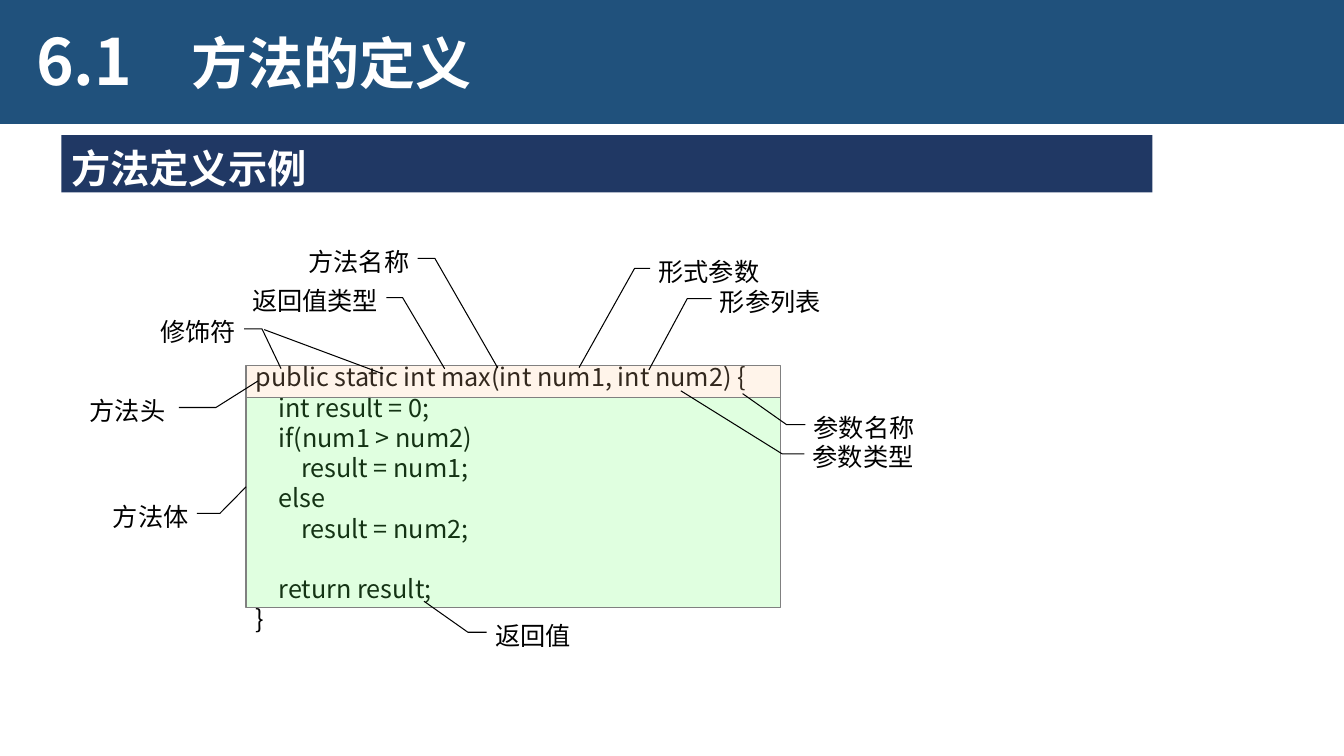
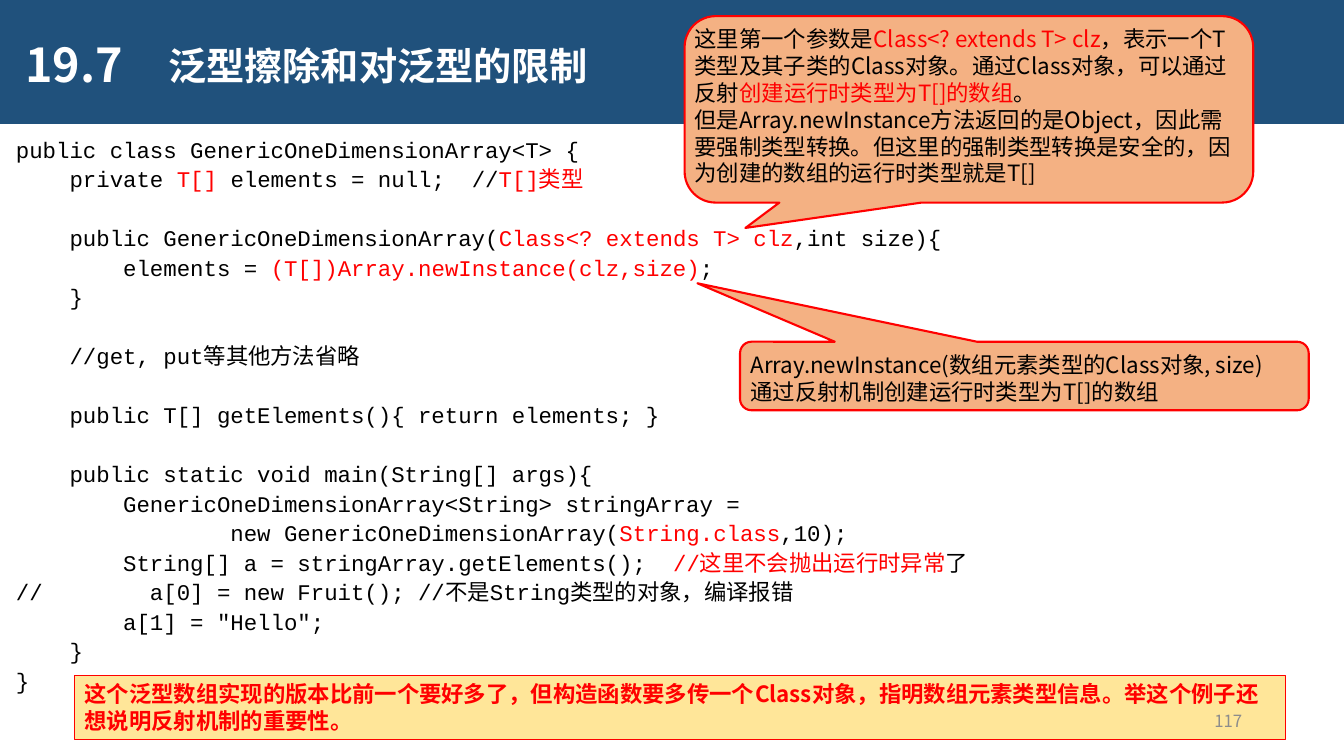
"""Build two slides on Java methods and generic arrays."""
from lxml.etree import SubElement
from pptx import Presentation
from pptx.dml.color import RGBColor
from pptx.enum.shapes import MSO_CONNECTOR, MSO_SHAPE
from pptx.enum.text import MSO_ANCHOR, MSO_AUTO_SIZE, PP_ALIGN
from pptx.oxml.ns import qn
from pptx.util import Inches, Pt

BLACK = RGBColor(0, 0, 0)
WHITE = RGBColor(0xFF, 0xFF, 0xFF)
RED = RGBColor(0xFF, 0, 0)
GRAY = RGBColor(0x80, 0x80, 0x80)
PALE = RGBColor(0x8C, 0x8C, 0x8C)
BLUE = RGBColor(0x20, 0x51, 0x7C)
NAVY = RGBColor(0x20, 0x38, 0x64)
PEACH = RGBColor(0xFF, 0xCC, 0x99)
GREEN = RGBColor(0x66, 0xFF, 0x66)
ORANGE = RGBColor(0xF4, 0xB1, 0x83)
YELLOW = RGBColor(0xFF, 0xE6, 0x99)
SANS = "Noto Sans CJK SC"
NOTE = "Noto Sans CJK JP"
MONO = "Courier New"


def write(shape, lines, size=18, color=BLACK, bold=False, font=SANS, lead=1.2,
          align=PP_ALIGN.LEFT, anchor=MSO_ANCHOR.TOP, wrap=True,
          pad=(0.1, 0.05, 0.1, 0.05)):
    """Fill a shape with lines; every second run of a tuple is red."""
    frame = shape.text_frame
    frame.auto_size = MSO_AUTO_SIZE.NONE
    frame.word_wrap = wrap
    frame.vertical_anchor = anchor
    (frame.margin_left, frame.margin_top,
     frame.margin_right, frame.margin_bottom) = map(Inches, pad)
    for row, line in enumerate(lines):
        para = frame.add_paragraph() if row else frame.paragraphs[0]
        para.alignment = align
        para.line_spacing = Pt(round(size * lead, 1))
        para.space_before = Pt(0)
        para.font.size = Pt(size)
        parts = (line,) if isinstance(line, str) else line
        for turn, part in enumerate(parts):
            if not part:
                continue
            run = para.add_run()
            run.text = part
            run.font.size = Pt(size)
            run.font.bold = bold
            run.font.color.rgb = RED if turn % 2 else color
            run.font.name = font
            east = SubElement(run.font._element, qn("a:ea"))
            east.set("typeface", SANS if font == MONO else font)


def draw(slide, kind, spot, fill=None, line=None, width=0.75, alpha=None):
    """Add a preset shape with its fill and line."""
    shape = slide.shapes.add_shape(kind, *map(Inches, spot))
    shape.shadow.inherit = False
    if fill is None:
        shape.fill.background()
    else:
        shape.fill.solid()
        shape.fill.fore_color.rgb = fill
        if alpha:
            tint = shape.fill._xPr.find(qn("a:solidFill"))[0]
            SubElement(tint, qn("a:alpha")).set("val", str(alpha * 1000))
    if line is None:
        shape.line.fill.background()
    else:
        shape.line.color.rgb = line
        shape.line.width = Pt(width)
    return shape


deck = Presentation()
deck.slide_width = Inches(13.33)
deck.slide_height = Inches(7.5)
plan = deck.slide_layouts[5]

HEADS = [
    ("6.1", (0.26, 0.19, 1.37, 0.91), 45.6, 1.16,
     "方法的定义", (1.8, 0.25, 8.09, 0.54), 40),
    ("19.7", (0.15, 0.38, 1.17, 0.54), 33.3, 1.05,
     "泛型擦除和对泛型的限制", (1.57, 0.38, 8.09, 0.54), 27.3),
]
slides = []
for mark, place, big, lead, name, spot, size in HEADS:
    slide = deck.slides.add_slide(plan)
    title = slide.shapes.title
    title.left, title.top, title.width, title.height = map(Inches, spot)
    write(title, [name], size=size, color=WHITE, bold=True, lead=1.16)
    box = slide.shapes.add_textbox(*map(Inches, place))
    write(box, [mark], size=big, color=WHITE, bold=True, lead=lead)
    slides.append(slide)
first, second = slides

band = draw(first, MSO_SHAPE.RECTANGLE, (0, 0, 13.33, 1.23), BLUE)
plan.shapes._spTree.insert(2, band._element)

head = draw(first, MSO_SHAPE.RECTANGLE, (0.61, 1.34, 10.82, 0.57), NAVY)
write(head, ["方法定义示例"], size=28, color=WHITE, bold=True, lead=1.3)

code = first.shapes.add_textbox(*map(Inches, (2.44, 3.54, 5.58, 2.8)))
write(code, [
    "public static int max(int num1, int num2) {",
    "    int result = 0;",
    "    if(num1 > num2)",
    "        result = num1;",
    "    else",
    "        result = num2;",
    "",
    "    return result;",
    "}",
], wrap=False)
for top, high, fill in [(3.63, 0.31, PEACH), (3.94, 2.09, GREEN)]:
    draw(first, MSO_SHAPE.RECTANGLE, (2.44, top, 5.3, high), fill, GRAY,
         alpha=20)

link = first.shapes.add_connector(
    MSO_CONNECTOR.STRAIGHT, *map(Inches, (2.62, 3.27, 3.8, 3.71)))
link.line.color.rgb = BLACK
link.line.width = Pt(0.75)
SubElement(link._element.spPr, qn("a:effectLst"))

LABELS = [
    ("方法头", 0.03, 3.92, 1.61, 1.083, 1.312, -0.519, 1.571),
    ("方法体", 0.87, 4.97, 1, 1.083, 1.312, -0.519, 1.571),
    ("修饰符", 1.34, 3.14, 1, 1.083, 1.259, 1.918, 1.448),
    ("返回值类型", 2.13, 2.83, 1.62, 1.051, 1.15, 3.07, 1.408),
    ("方法名称", 2.44, 2.44, 1.62, 1.051, 1.156, 4.481, 1.541),
    ("形式参数", 6.53, 2.54, 1.62, -0.051, -0.146, 4.101, -0.486),
    ("形参列表", 7.14, 2.84, 1.62, -0.051, -0.2, 3.076, -0.435),
    ("参数类型", 8.06, 4.38, 1.62, -0.051, -0.187, -1.861, -0.807),
    ("参数名称", 8.07, 4.09, 1.62, -0.051, -0.166, -0.684, -0.435),
    ("返回值", 4.91, 6.15, 1.62, -0.051, -0.166, -0.684, -0.435),
]
for text, left, top, wide, start, bend, drop, end in LABELS:
    label = draw(first, MSO_SHAPE.LINE_CALLOUT_2_NO_BORDER,
                 (left, top, wide, 0.27), line=BLACK)
    for spot, value in enumerate((0.456, start, 0.456, bend, drop, end)):
        label.adjustments[spot] = value
    write(label, [text], pad=(0, 0, 0, 0),
          align=PP_ALIGN.RIGHT if start > 0 else PP_ALIGN.LEFT)

code = second.shapes.add_textbox(*map(Inches, (0.06, 1.27, 12.91, 5.72)))
write(code, [
    "public class GenericOneDimensionArray<T> {",
    ("    private ", "T[] ", "elements = null;  //", "T[]类型"),
    "",
    ("    public GenericOneDimensionArray(", "Class<? extends T> clz",
     ",int size){"),
    ("        elements = ", "(T[])Array.newInstance(clz,size)", ";"),
    "    }",
    "",
    "    //get, put等其他方法省略",
    "",
    "    public T[] getElements(){ return elements; }",
    "",
    "    public static void main(String[] args){",
    "        GenericOneDimensionArray<String> stringArray =",
    ("                new GenericOneDimensionArray(", "String.class",
     ",10);"),
    ("        String[] a = stringArray.getElements();  ",
     "//这里不会抛出运行时异常", "了"),
    "//        a[0] = new Fruit(); //不是String类型的对象，编译报错",
    "        a[1] = \"Hello\";",
    "    }",
    "}",
], size=16, font=MONO, lead=1.32)

NOTES = [
    ((6.79, 0.16, 5.64, 1.85), (-0.393, 0.636), (0.01, 0, 0.09, 0), [
        ("这里第一个参数是", "Class<? extends T> clz",
         "，表示一个T类型及其子类的Class对象。通过Class对象，可以通过反射",
         "创建运行时类型为T[]的数组", "。"),
        "但是Array.newInstance方法返回的是Object，因此需要强制类型转换。"
        "但这里的强制类型转换是安全的，因为创建的数组的运行时类型就是T[]",
    ]),
    ((7.34, 3.39, 5.64, 0.68), (-0.575, -1.353), (0.07, 0.06, 0.15, 0), [
        "Array.newInstance(数组元素类型的Class对象, size)",
        "通过反射机制创建运行时类型为T[]的数组",
    ]),
]
for spot, tip, pad, lines in NOTES:
    note = draw(second, MSO_SHAPE.ROUNDED_RECTANGULAR_CALLOUT, spot, ORANGE,
                RED, 1.5)
    note.adjustments[0], note.adjustments[1] = tip
    write(note, lines, size=16, font=NOTE, pad=pad)

hint = draw(second, MSO_SHAPE.RECTANGLE, (0.74, 6.7, 12.01, 0.64), YELLOW, RED)
write(hint, [
    "这个泛型数组实现的版本比前一个要好多了，但构造函数要多传一个Class对象，"
    "指明数组元素类型信息。举这个例子还想说明反射机制的重要性。",
], size=16, color=RED, bold=True)

page = second.shapes.add_textbox(*map(Inches, (9.42, 6.95, 3, 0.4)))
write(page, ["117"], size=12, color=PALE, align=PP_ALIGN.RIGHT,
      anchor=MSO_ANCHOR.MIDDLE)

deck.save("out.pptx")
